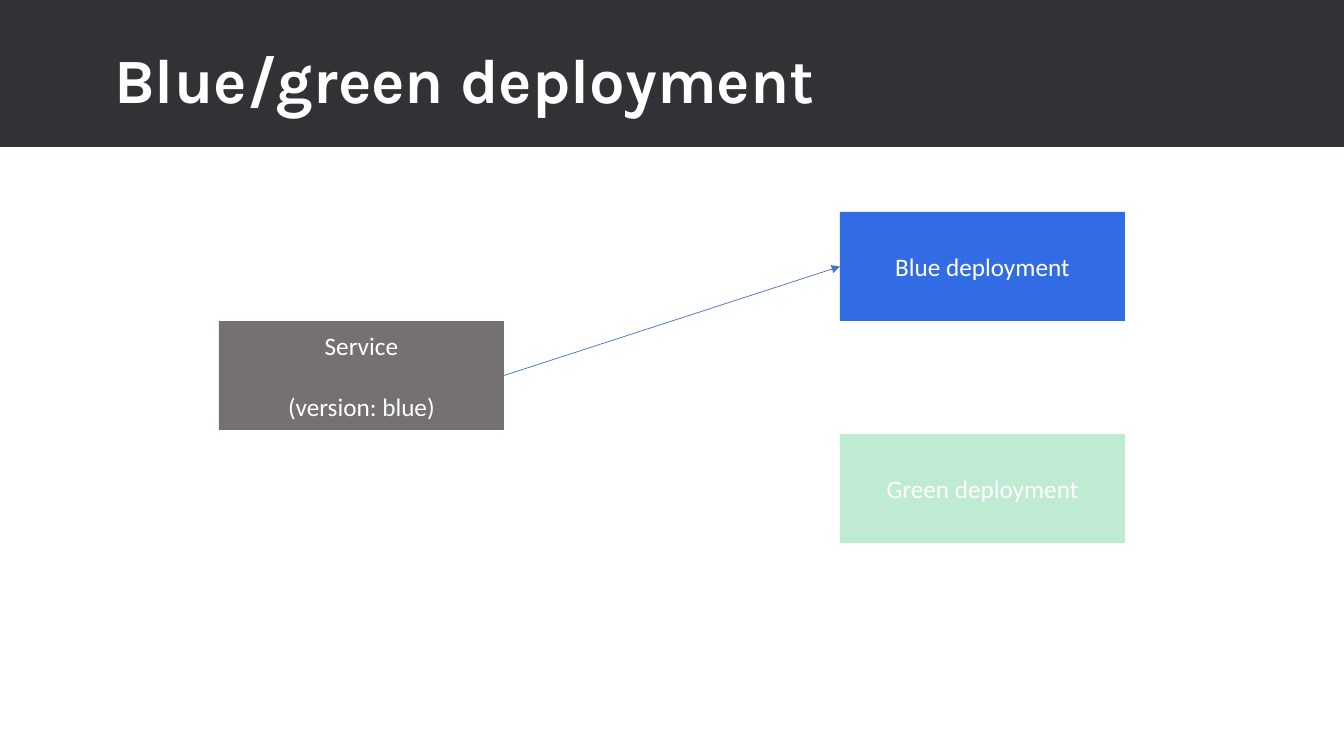
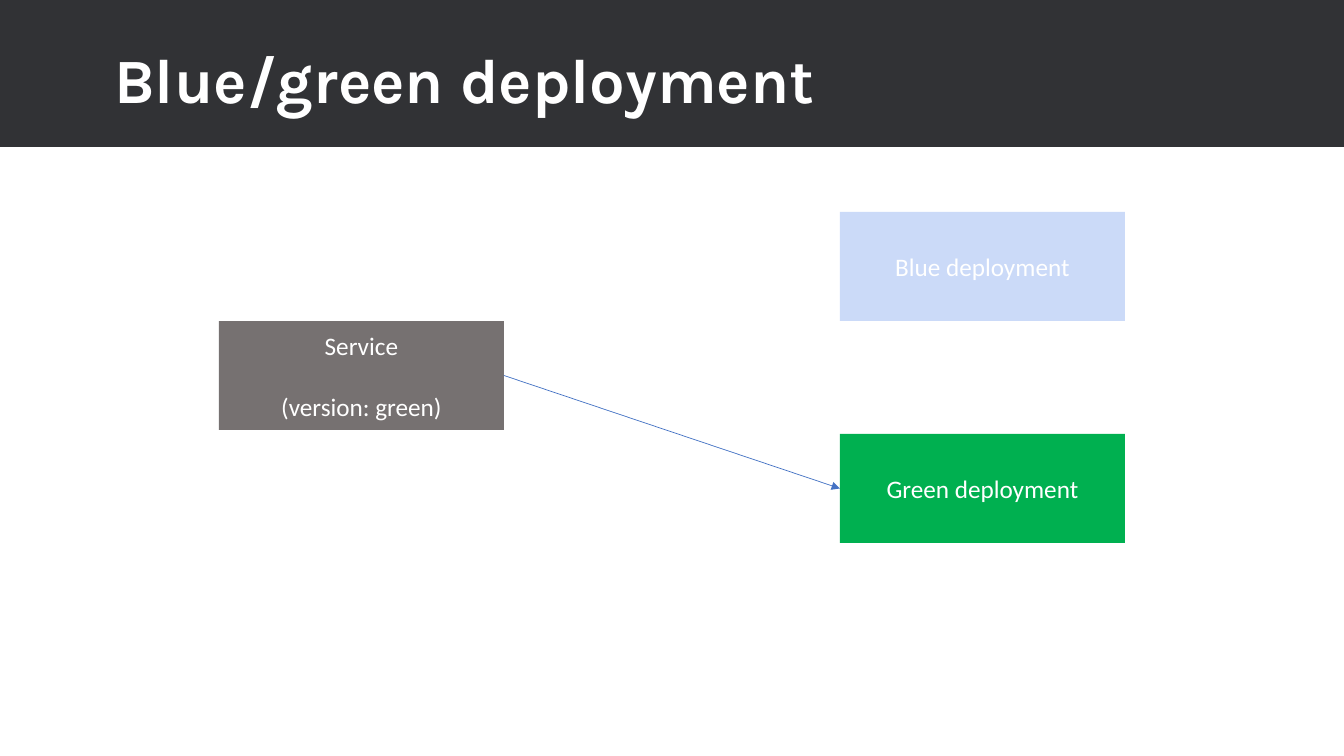
from lxml.etree import SubElement
from pptx import Presentation
from pptx.dml.color import RGBColor
from pptx.enum.shapes import MSO_CONNECTOR, MSO_SHAPE
from pptx.enum.text import MSO_ANCHOR, MSO_AUTO_SIZE, PP_ALIGN
from pptx.oxml.ns import qn
from pptx.util import Pt

TITLE = "Blue/green deployment"
DEPLOYMENTS = [
    ("Blue deployment", "326CE5", 212),
    ("Green deployment", "00B050", 434),
]
SLIDES = [
    ("(version: blue)", "Blue deployment"),
    ("(version: green)", "Green deployment"),
]

WHITE, BAND, SERVICE, ARROW = "FFFFFF", "313235", "767171", "4472C4"
TITLE_FONT, BODY_FONT = "Karla", "Calibri"
SLIDE_SIZE = (1344, 756)
BAND_HEIGHT = 147
TITLE_BOX = (104, 10, 1137, 146)
BOX_SIZE = (285, 109)
SERVICE_AT = (219, 321)
DEPLOYMENT_LEFT = 840
INACTIVE_ALPHA = 25
LINE_GAP = 22
EMU_PER_PIXEL = 914400 / 100.8


def emu(*pixels):
    return [round(value * EMU_PER_PIXEL) for value in pixels]


def color(value):
    return RGBColor.from_string(value)


def style_paragraphs(text_frame, font_name, size, align, bold=False):
    for paragraph in text_frame.paragraphs:
        paragraph.alignment = align
        for run in paragraph.runs:
            run.font.name = font_name
            run.font.size = Pt(size)
            run.font.bold = bold
            run.font.color.rgb = color(WHITE)


def add_rectangle(slide, bounds, fill, alpha=100):
    shape = slide.shapes.add_shape(MSO_SHAPE.RECTANGLE, *emu(*bounds))
    shape.shadow.inherit = False
    shape.fill.solid()
    shape.fill.fore_color.rgb = color(fill)
    shape.line.fill.background()
    if alpha < 100:
        fill_color = shape.element.spPr.find(".//" + qn("a:srgbClr"))
        SubElement(fill_color, qn("a:alpha"), val=str(alpha * 1000))
    return shape


def add_box(slide, position, text, fill, alpha=100):
    shape = add_rectangle(slide, (*position, *BOX_SIZE), fill, alpha)
    text_frame = shape.text_frame
    text_frame.text = text
    text_frame.vertical_anchor = MSO_ANCHOR.MIDDLE
    style_paragraphs(text_frame, BODY_FONT, 18, PP_ALIGN.CENTER)
    for paragraph in text_frame.paragraphs[1:]:
        paragraph.space_before = Pt(LINE_GAP)
    return shape


def add_arrow(slide, source, target):
    arrow = slide.shapes.add_connector(MSO_CONNECTOR.STRAIGHT, 0, 0, 0, 0)
    arrow.begin_connect(source, 3)
    arrow.end_connect(target, 1)
    arrow.line.color.rgb = color(ARROW)
    arrow.line.width = Pt(0.5)
    SubElement(arrow.line._get_or_add_ln(), qn("a:tailEnd"), type="triangle")
    SubElement(arrow.element.spPr, qn("a:effectLst"))


def set_title(slide):
    title = slide.shapes.title
    title.left, title.top, title.width, title.height = emu(*TITLE_BOX)
    text_frame = title.text_frame
    text_frame.text = TITLE
    text_frame.word_wrap = True
    text_frame.auto_size = MSO_AUTO_SIZE.NONE
    text_frame.vertical_anchor = MSO_ANCHOR.MIDDLE
    text_frame.paragraphs[0].line_spacing = 0.9
    style_paragraphs(text_frame, TITLE_FONT, 45, PP_ALIGN.LEFT, bold=True)


def add_deployment_slide(presentation, layout, version, active):
    slide = presentation.slides.add_slide(layout)
    set_title(slide)
    service = add_box(slide, SERVICE_AT, "Service\n" + version, SERVICE)
    boxes = {}
    for name, fill, top in DEPLOYMENTS:
        alpha = 100 if name == active else INACTIVE_ALPHA
        boxes[name] = add_box(slide, (DEPLOYMENT_LEFT, top), name, fill, alpha)
    add_arrow(slide, service, boxes[active])
    return slide


presentation = Presentation()
presentation.slide_width, presentation.slide_height = emu(*SLIDE_SIZE)
layout = presentation.slide_layouts.get_by_name("Title Only")
slides = [add_deployment_slide(presentation, layout, *content) for content in SLIDES]
band = add_rectangle(slides[0], (0, 0, SLIDE_SIZE[0], BAND_HEIGHT), BAND)
layout.shapes.element.insert(2, band.element)
presentation.save("out.pptx")
